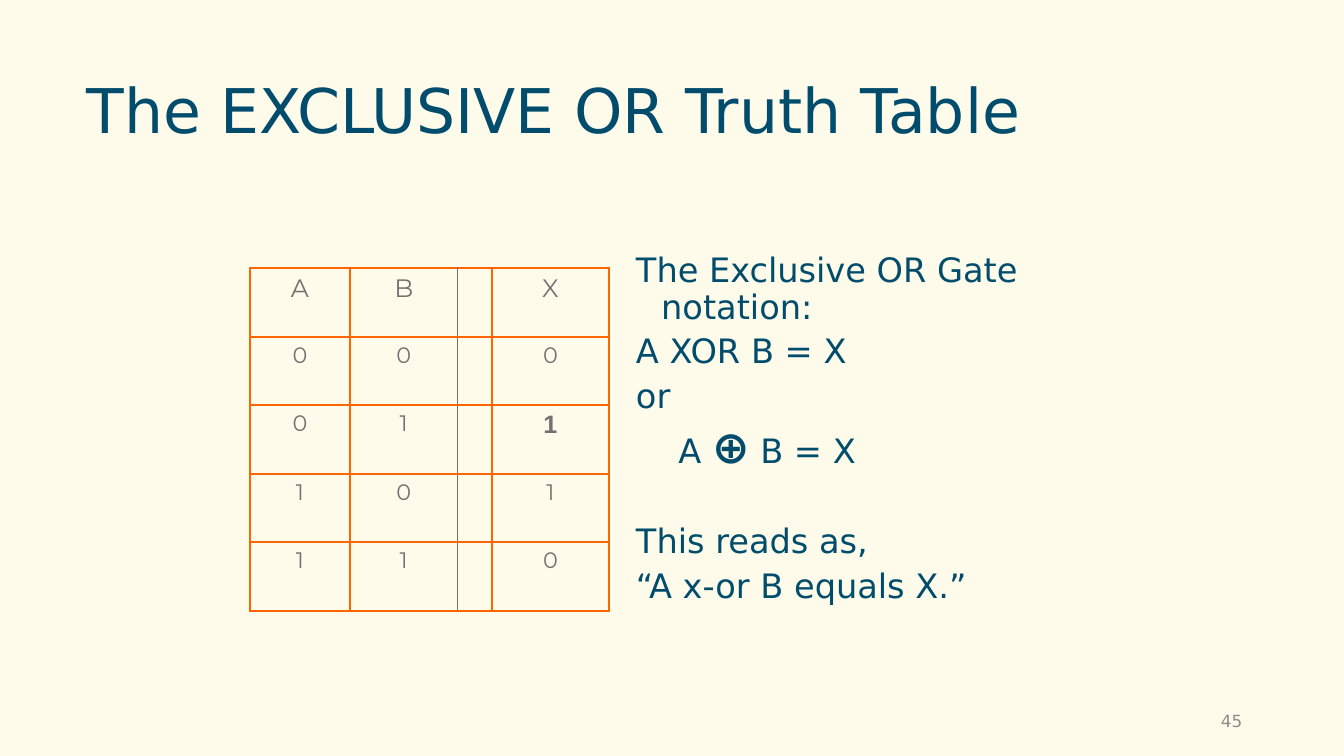
from pptx import Presentation
from pptx.dml.color import RGBColor
from pptx.enum.text import MSO_ANCHOR, PP_ALIGN
from pptx.oxml.ns import qn
from pptx.util import Inches, Pt
from lxml import etree

CENTER, RIGHT = PP_ALIGN.CENTER, PP_ALIGN.RIGHT
TOP, MIDDLE = MSO_ANCHOR.TOP, MSO_ANCHOR.MIDDLE
COLORS = {"paper": "FFFBEB", "ink": "004C6C", "grid": "FF6600",
          "cell": "767171", "number": "8C8C8C"}
BODY_FONT = "DejaVu Sans"


def add_span(para, text, size, color, name=BODY_FONT, bold=False):
    span = para.add_run()
    span.text = text
    formats = {"size": Pt(size), "name": name, "bold": bold}
    for key, value in formats.items():
        setattr(span.font, key, value)
    span.font.color.rgb = RGBColor.from_string(COLORS[color])


def add_box(left, top, width, height, anchor):
    box = page.shapes.add_textbox(Inches(left), Inches(top), Inches(width), Inches(height))
    box.text_frame.word_wrap = True
    box.text_frame.vertical_anchor = anchor
    return box.text_frame


# Page
deck = Presentation()
deck.slide_width, deck.slide_height = Inches(13.33), Inches(7.5)
page = deck.slides.add_slide(deck.slide_layouts[6])
page.background.fill.solid()
page.background.fill.fore_color.rgb = RGBColor.from_string(COLORS["paper"])

# Title
title = add_box(0.76, 0.4, 11.81, 1.45, MIDDLE).paragraphs[0]
title.line_spacing = 0.9
add_span(title, "The EXCLUSIVE OR Truth Table", 44, "ink")

# Slide number
number = add_box(9.42, 6.95, 3, 0.4, MIDDLE).paragraphs[0]
number.alignment = RIGHT
add_span(number, "45", 12, "number")

# Truth table, with a narrow empty column before the result
header = ["A", "B", "", "X"]
rows = [header] + [[str(a), str(b), "", str(a ^ b)] for a in (0, 1) for b in (0, 1)]
widths = [0.99, 1.07, 0.34, 1.16]
row_height = 0.68
table = page.shapes.add_table(len(rows), len(widths), Inches(2.48), Inches(2.66),
                              Inches(sum(widths)), Inches(row_height * len(rows))).table
table.first_row = table.horz_banding = False
for column, width in zip(table.columns, widths):
    column.width = Inches(width)

for r, values in enumerate(rows):
    table.rows[r].height = Inches(row_height)
    for c, value in enumerate(values):
        cell = table.cell(r, c)
        properties = cell._tc.get_or_add_tcPr()
        for side in ("lnL", "lnR", "lnT", "lnB"):
            thin = (c, side) in ((1, "lnR"), (2, "lnL"))
            line = etree.SubElement(properties, qn(f"a:{side}"),
                                    w=str(Pt(0.75 if thin else 1.5)))
            fill = etree.SubElement(line, qn("a:solidFill"))
            etree.SubElement(fill, qn("a:srgbClr"), val=COLORS["cell" if thin else "grid"])
        cell.fill.background()
        if value:
            para = cell.text_frame.paragraphs[0]
            para.alignment = CENTER
            strong = (r, c) == (2, 3)
            add_span(para, value, 18 if r == 0 or strong else 16, "cell",
                     "Arial" if strong else "Montserrat", strong)

# Notation: space before, left margin, first-line indent, spans of text, size, bold
notation = [
    (6, 0.25, -0.25, [("The Exclusive OR Gate notation:", 24, False)]),
    (6, 0.25, -0.25, [("A XOR B = X", 24, False)]),
    (6, 0.25, -0.25, [("or", 24, False)]),
    (6, 0.42, 0, [("A ", 24, False), ("⊕", 32, True), (" B = X", 24, False)]),
    (37, 0.25, -0.25, [("This reads as,", 24, False)]),
    (6, 0.25, -0.25, [("“A x-or B equals X.”", 24, False)]),
]
frame = add_box(6.21, 2.47, 4.76, 3.69, TOP)
for i, (before, margin, indent, spans) in enumerate(notation):
    para = frame.paragraphs[0] if i == 0 else frame.add_paragraph()
    para.line_spacing = 0.9
    para.space_before = Pt(before)
    properties = para._p.get_or_add_pPr()
    properties.set("marL", str(Inches(margin)))
    properties.set("indent", str(Inches(indent)))
    for text, size, bold in spans:
        add_span(para, text, size, "ink", bold=bold)

deck.save("out.pptx")
